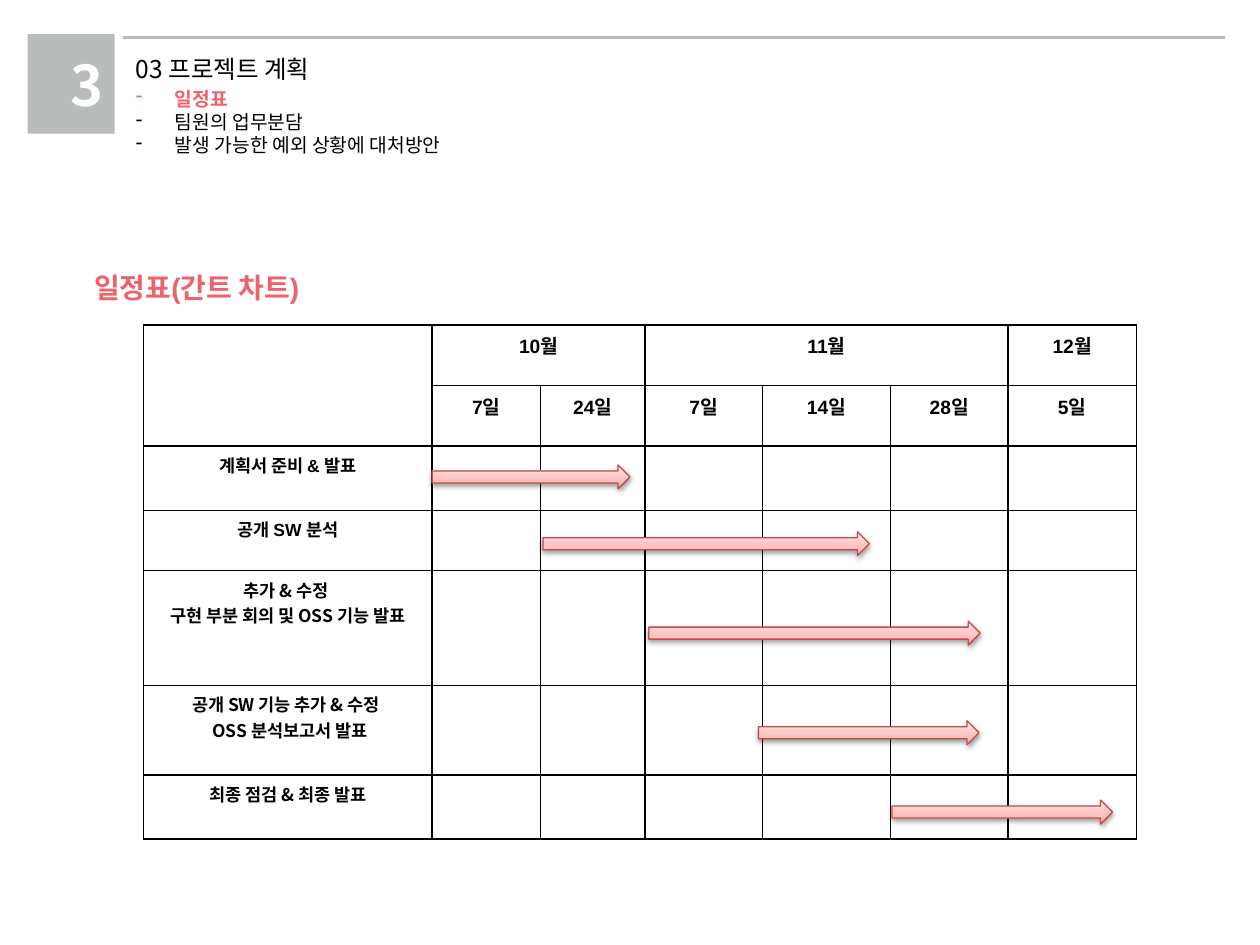
from pptx import Presentation
from pptx import util as u
from pptx.dml.color import RGBColor
from pptx.enum import shapes as es, text as et
from pptx.oxml import parse_xml
from pptx.oxml.ns import nsdecls, qn

# Content
NUMBER = "3"
TITLE = "03 프로젝트 계획"
TOPICS = ["일정표", "팀원의 업무분담", "발생 가능한 예외 상황에 대처방안"]
HEADING = "일정표(간트 차트)"
MONTHS = [("10월", ["7일", "24일"]), ("11월", ["7일", "14일", "28일"]), ("12월", ["5일"])]
# Task lines, font, then arrow left, top, width
TASKS = [
    (["계획서 준비 & 발표"], "head", 3.43, 3.69, 1.57),
    (["공개 SW 분석"], "head", 4.31, 4.22, 2.59),
    (["추가 & 수정 ", "구현 부분 회의 및 OSS 기능 발표"], "body", 5.15, 4.93, 2.63),
    (["공개 SW 기능 추가 & 수정 ", " OSS 분석보고서 발표"], "body", 6.02, 5.72, 1.75),
    (["최종 점검 & 최종 발표"], "body", 7.08, 6.35, 1.75),
]
COLS = [2.29, 0.86, 0.83, 0.93, 1.02, 0.93, 1.02]
ROWS = [0.48, 0.48, 0.51, 0.48, 0.91, 0.71, 0.51]
THICK = 0.19

THEME = {
    "head": "Arial", "body": "Noto Sans CJK KR",
    "gray": "B8BCBB", "accent": "ED636D", "ink": "000000", "white": "FFFFFF",
    "edge": "BF4C48", "fade": [(0, "FFA6A5"), (35, "FFC0BF"), (100, "FFE7E7")],
    "number": 32, "title": 14, "heading": 16, "list": 11, "task": 10,
}


def rgb(name):
    return RGBColor.from_string(THEME[name])


def xml(tag, attrs="", inner=""):
    return parse_xml(f"<a:{tag} {nsdecls('a')} {attrs}>{inner}</a:{tag}>")


def write(frame, lines, size, font, color="ink", bold=False, center=False):
    for i, line in enumerate(lines):
        para = frame.paragraphs[0] if i == 0 else frame.add_paragraph()
        para.alignment = et.PP_ALIGN.CENTER if center else et.PP_ALIGN.LEFT
        run = para.add_run()
        run.text = line
        run.font.size = u.Pt(THEME[size])
        run.font.bold = bold
        run.font.color.rgb = rgb(color)
        run.font.name = THEME[font]
        run.font._element.append(xml("ea", f'typeface="{THEME["body"]}"'))


def box(parent, at, lines, size, font, wrap=False, **style):
    shape = parent.add_textbox(*map(u.Inches, at))
    frame = shape.text_frame
    frame.word_wrap = wrap
    frame.auto_size = et.MSO_AUTO_SIZE.SHAPE_TO_FIT_TEXT
    write(frame, lines, size, font, **style)
    return frame


def border(cell):
    props = cell._tc.get_or_add_tcPr()
    solid = f'<a:solidFill><a:srgbClr val="{THEME["ink"]}"/></a:solidFill>'
    for side in "LRTB":
        props.append(xml("ln" + side, f'w="{u.Pt(1)}"', solid))
    cell.fill.background()


def arrow(parent, left, top, width):
    shape = parent.add_shape(es.MSO_SHAPE.RIGHT_ARROW,
                             *map(u.Inches, (left, top, width, THICK)))
    shape.fill.gradient()
    shape.fill.gradient_angle = 90
    stops = shape._element.spPr.find(".//" + qn("a:gsLst"))
    stops.clear()
    for pos, color in THEME["fade"]:
        stops.append(xml("gs", f'pos="{pos * 1000}"', f'<a:srgbClr val="{color}"/>'))
    shape.line.color.rgb = rgb("edge")
    shape.line.width = u.Pt(0.75)
    shape.shadow.inherit = False
    shape._element.spPr.find(qn("a:effectLst")).append(xml(
        "outerShdw",
        f'blurRad="{u.Pt(3.1)}" dist="{u.Pt(1.6)}" dir="5400000" rotWithShape="0"',
        f'<a:srgbClr val="{THEME["ink"]}"><a:alpha val="38000"/></a:srgbClr>'))


def header(parts):
    # Rule and numbered block
    rule = parts.add_connector(es.MSO_CONNECTOR.STRAIGHT,
                               *map(u.Inches, (0.98, 0.3, 9.72, 0.3)))
    rule.line.color.rgb = rgb("gray")
    rule.line.width = u.Pt(1.5)
    rule._element.spPr.append(xml("effectLst"))
    block = parts.add_shape(es.MSO_SHAPE.RECTANGLE,
                            *map(u.Inches, (0.22, 0.27, 0.69, 0.79)))
    block.fill.solid()
    block.fill.fore_color.rgb = rgb("gray")
    block.line.fill.background()
    block.shadow.inherit = False
    box(parts, (0.46, 0.35, 0.21, 0.64), [NUMBER], "number", "body",
        wrap=True, color="white", bold=True, center=True)

    # Title and topics, with the current topic marked
    group = parts.add_group_shape().shapes
    box(group, (0.98, 0.38, 1.73, 0.34), [TITLE], "title", "body")
    frame = box(group, (0.98, 0.64, 2.89, 0.66), TOPICS, "list", "head")
    for para in frame.paragraphs:
        props = para._p.get_or_add_pPr()
        props.set("marL", str(u.Inches(0.31)))
        props.set("indent", str(-u.Inches(0.31)))
        props.append(xml("buChar", 'char="-"'))
    now = frame.paragraphs[0].runs[0].font
    now.bold, now.color.rgb = True, rgb("accent")


def schedule(parts):
    # Grid
    table = parts.add_table(len(ROWS), len(COLS), *map(
        u.Inches, (1.14, 2.58, sum(COLS), sum(ROWS)))).table
    table.first_row = table.horz_banding = False
    for col, width in zip(table.columns, COLS):
        col.width = u.Inches(width)
    for row, height in zip(table.rows, ROWS):
        row.height = u.Inches(height)
    for cell in table.iter_cells():
        border(cell)

    # Months and days
    style = {"bold": True, "center": True}
    table.cell(0, 0).merge(table.cell(1, 0))
    col = 1
    for month, days in MONTHS:
        top = table.cell(0, col)
        if len(days) > 1:
            top.merge(table.cell(0, col + len(days) - 1))
        write(top.text_frame, [month], "list", "head", **style)
        for day in days:
            write(table.cell(1, col).text_frame, [day], "list", "head", **style)
            col += 1

    # Tasks and their spans
    for row, (lines, font, *span) in enumerate(TASKS, 2):
        write(table.cell(row, 0).text_frame, lines, "task", font, **style)
        arrow(parts, *span)


def main():
    deck = Presentation()
    deck.slide_width, deck.slide_height = u.Inches(10), u.Inches(7.5)
    parts = deck.slides.add_slide(deck.slide_layouts[6]).shapes
    header(parts)
    schedule(parts)
    box(parts, (0.65, 2.1, 2.01, 0.37), [HEADING], "heading", "head",
        color="accent", bold=True)
    deck.save("out.pptx")


if __name__ == "__main__":
    main()
